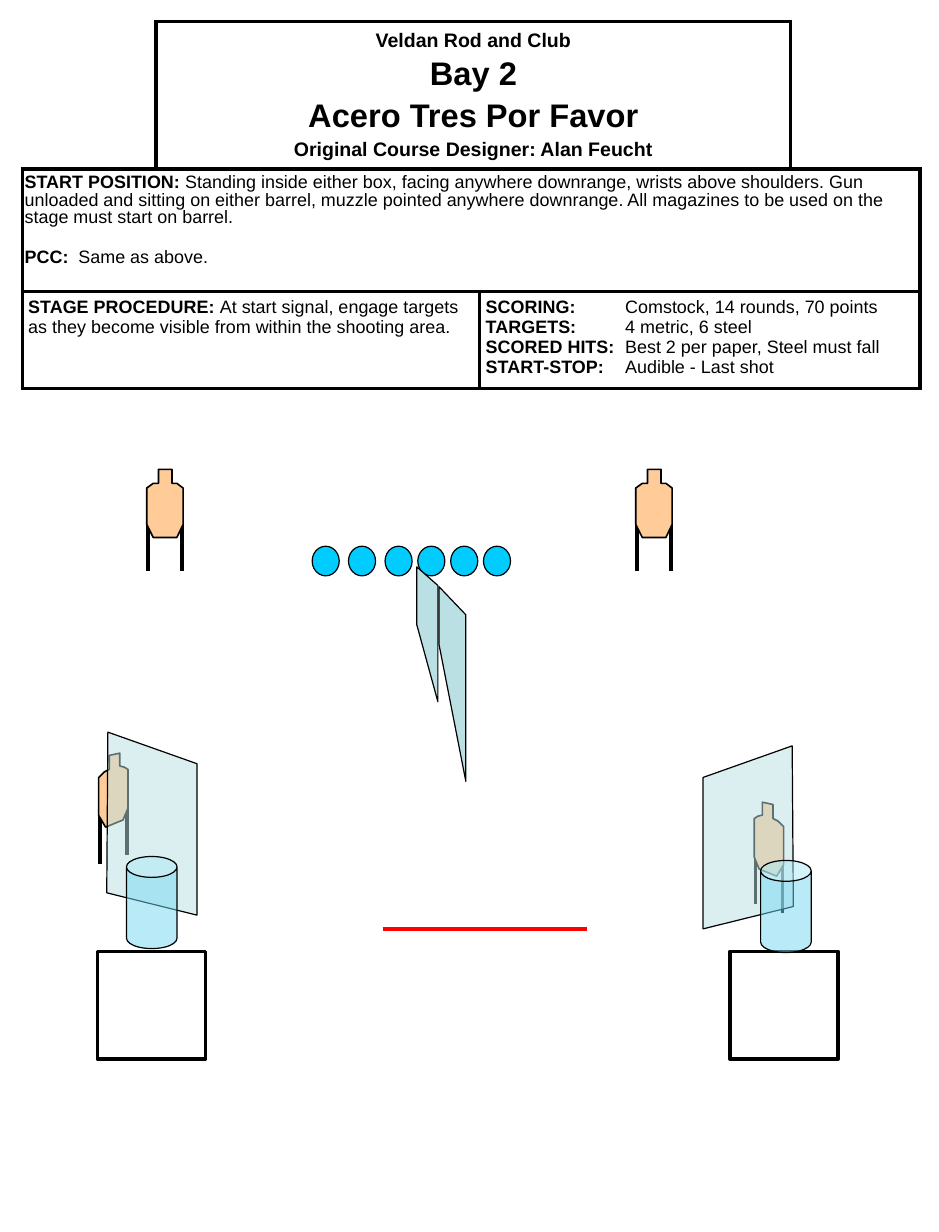
from lxml.etree import SubElement
from pptx import Presentation
from pptx.dml.color import RGBColor
from pptx.enum.shapes import MSO_CONNECTOR, MSO_SHAPE
from pptx.enum.text import MSO_ANCHOR, PP_ALIGN
from pptx.oxml.ns import qn
from pptx.util import Pt

BLACK = RGBColor(0x00, 0x00, 0x00)
WHITE = RGBColor(0xFF, 0xFF, 0xFF)
RED = RGBColor(0xFF, 0x00, 0x00)
TAN = RGBColor(0xFF, 0xCC, 0x99)
STEEL = RGBColor(0x00, 0xCC, 0xFF)
WALL = RGBColor(0xBB, 0xE0, 0xE3)
BARREL = RGBColor(0x73, 0xD9, 0xF1)

# Content: (text, size, space before) and (bold label, plain text)
TITLE = [("Veldan Rod and Club", 12, 0), ("Bay 2", 20, 3),
         ("Acero Tres Por Favor", 20, 3),
         ("Original Course Designer: Alan Feucht", 12, 3)]
START = [("START POSITION:", " Standing inside either box, facing anywhere downrange, "
          "wrists above shoulders. Gun unloaded and sitting on either barrel, muzzle "
          "pointed anywhere downrange. All magazines to be used on the stage must "
          "start on barrel."),
         ("PCC:", "\tSame as above.")]
PROCEDURE = [("STAGE PROCEDURE: ", "At start signal, engage targets as they become "
              "visible from within the shooting area.")]
SCORING = [("SCORING:", "\tComstock, 14 rounds, 70 points"),
           ("TARGETS:", "\t4 metric, 6 steel"),
           ("SCORED HITS:", "\tBest 2 per paper, Steel must fall"),
           ("START-STOP:", "\tAudible - Last shot")]

# Table grid
TABLE_LEFT, TABLE_TOP = 13.7, 13
COLUMNS = [82, 198.7, 190.8, 79.2]
ROWS = [90.7, 75, 60]

# Outlines relative to their own top left corner; legs are (x, top, bottom)
UPRIGHT = [(7.2, 0), (15.5, 0), (15.5, 8.6), (18.5, 8.6), (22.3, 11.5), (22.3, 33.8),
           (18.5, 41.8), (4, 41.8), (0, 33.8), (0, 11.5), (4, 8.6), (7.2, 8.6)]
UPRIGHT_LEGS = [(0.9, 31, 62.6), (21.6, 31, 62.6)]
ANGLED = [(6.5, 1.4), (13, 0), (13, 7.9), (15.8, 8.6), (18, 10), (18, 33.8),
          (15, 41), (4.3, 45.4), (0, 38.2), (0, 15), (3.6, 11.5), (6.5, 10)]
ANGLED_LEGS = [(0.7, 36.7, 67.7), (17.3, 31.7, 62.6)]
PANEL = [(55.4, 19.4), (0.7, 0), (0, 98.6), (55.4, 112.3)]
NEAR_WALL = [(0, 35.3), (0, 0), (13, 11.5), (13, 82.8)]
FAR_WALL = [(0, 35.3), (0, 0), (16.5, 17.3), (16.5, 119.5)]

# Positions
STEEL_LEFTS = [191.5, 213.8, 236.2, 256.3, 276.5, 296.6]
UPRIGHT_LEFTS = [90, 390]
BOX_LEFTS = [59.8, 447.8]
BARREL_LEFTS = [77.6, 466.6]


def style(s, fill, width, alpha=None):
    s.shadow.inherit = False
    if fill is None:
        s.fill.background()
    else:
        s.fill.solid()
        s.fill.fore_color.rgb = fill
        if alpha:
            clr = s._element.spPr.find(qn("a:solidFill"))[0]
            SubElement(clr, qn("a:alpha"), val=str(alpha * 1000))
    s.line.color.rgb = BLACK
    s.line.width = Pt(width)


def add_line(shapes, x1, y1, x2, y2, color, width):
    c = shapes.add_connector(MSO_CONNECTOR.STRAIGHT, Pt(x1), Pt(y1), Pt(x2), Pt(y2))
    c.line.color.rgb = color
    c.line.width = Pt(width)
    SubElement(c._element.spPr, qn("a:effectLst"))


def add_outline(shapes, points, x, y, fill, width, alpha=None):
    pts = [(Pt(x + px), Pt(y + py)) for px, py in points]
    fb = shapes.build_freeform(*pts[0], scale=1.0)
    fb.add_line_segments(pts[1:], close=True)
    style(fb.convert_to_shape(), fill, width, alpha)


def add_preset(kind, x, y, w, h, fill, width, alpha=None):
    s = shapes.add_shape(kind, Pt(x), Pt(y), Pt(w), Pt(h))
    style(s, fill, width, alpha)
    return s


def mirror(points, width):
    return [(width - x, *rest) for x, *rest in points]


def add_target(outline, legs, x, y):
    group = shapes.add_group_shape().shapes
    for leg, top, bottom in legs:
        add_line(group, x + leg, y + top, x + leg, y + bottom, BLACK, 2.25)
    add_outline(group, outline, x, y, TAN, 1)


def add_run(p, text, size, bold):
    r = p.add_run()
    r.text = text
    r.font.name, r.font.size, r.font.bold = "Arial", Pt(size), bold
    r.font.color.rgb = BLACK


def paragraphs(tf, count):
    return [tf.paragraphs[0]] + [tf.add_paragraph() for _ in range(count - 1)]


def fill_cell(cell, items, tab=None, spacing=None, gap=0):
    for i, (p, (label, text)) in enumerate(zip(paragraphs(cell.text_frame, len(items)), items)):
        if spacing:
            p.line_spacing = spacing
        if i and gap:
            p.space_before = Pt(gap)
        if tab:
            tabs = SubElement(p._p.get_or_add_pPr(), qn("a:tabLst"))
            SubElement(tabs, qn("a:tab"), pos=str(Pt(tab)), algn="l")
        add_run(p, label, 11, True)
        add_run(p, text, 11, False)


def set_borders(cell, sides):
    tcPr = cell._tc.get_or_add_tcPr()
    for side in "LRTB":
        ln = SubElement(tcPr, qn(f"a:ln{side}"), w=str(Pt(2.25)))
        if side in sides:
            SubElement(SubElement(ln, qn("a:solidFill")), qn("a:srgbClr"), val=str(BLACK))
        else:
            SubElement(ln, qn("a:noFill"))


prs = Presentation()
prs.slide_width, prs.slide_height = Pt(576), Pt(756)
shapes = prs.slides.add_slide(prs.slide_layouts[6]).shapes

# Stage description table
table = shapes.add_table(3, 4, Pt(TABLE_LEFT), Pt(TABLE_TOP),
                         Pt(sum(COLUMNS)), Pt(sum(ROWS))).table
table.first_row = table.horz_banding = False
for col, width in zip(table.columns, COLUMNS):
    col.width = Pt(width)
for row, height in zip(table.rows, ROWS):
    row.height = Pt(height)
for r in range(3):
    for c in range(4):
        cell = table.cell(r, c)
        set_borders(cell, {(0, 0): "RB", (0, 3): "LB"}.get((r, c), "LRTB"))
        cell.fill.solid()
        cell.fill.fore_color.rgb = WHITE
        side, edge = (1.4, 2.9) if r == 1 else (3.6, 3.6)
        cell.margin_left = cell.margin_right = Pt(side)
        cell.margin_top = cell.margin_bottom = Pt(edge)
for first, last in [((0, 1), (0, 2)), ((1, 0), (1, 3)), ((2, 0), (2, 1)), ((2, 2), (2, 3))]:
    table.cell(*first).merge(table.cell(*last))

title = table.cell(0, 1)
title.vertical_anchor = MSO_ANCHOR.MIDDLE
for p, (text, size, before) in zip(paragraphs(title.text_frame, len(TITLE)), TITLE):
    p.alignment = PP_ALIGN.CENTER
    if before:
        p.space_before = Pt(before)
    add_run(p, text, size, True)
fill_cell(table.cell(1, 0), START, tab=33, spacing=0.9, gap=13)
fill_cell(table.cell(2, 0), PROCEDURE)
fill_cell(table.cell(2, 2), SCORING, tab=85.5)

# Steel plates, fault line and centre walls
for x in STEEL_LEFTS:
    add_preset(MSO_SHAPE.OVAL, x, 335.2, 16.6, 18.2, STEEL, 0.75)
add_line(shapes, 234.7, 570, 360, 570, RED, 2)
add_outline(shapes, FAR_WALL, 269.3, 360, WALL, 0.75)
add_outline(shapes, NEAR_WALL, 255.6, 347.8, WALL, 0.75)

# Start boxes
for x in BOX_LEFTS:
    add_preset(MSO_SHAPE.RECTANGLE, x, 583.8, 66.2, 66.2, None, 2.25)

# Paper targets and the side panels in front of the angled ones
for x in UPRIGHT_LEFTS:
    add_target(UPRIGHT, UPRIGHT_LEGS, x, 288)
add_target(ANGLED, ANGLED_LEGS, 60.5, 462.2)
add_outline(shapes, PANEL, 65.5, 449.3, WALL, 0.75, 50)
add_target(mirror(ANGLED, 18), mirror(ANGLED_LEGS, 18), 462.7, 492.3)
add_outline(shapes, mirror(PANEL, 55.4), 431.3, 457.7, WALL, 0.75, 50)

# Barrels
for x, y in zip(BARREL_LEFTS, [525.6, 528]):
    s = add_preset(MSO_SHAPE.CAN, x, y, 31, 56.5, BARREL, 0.75, 50)
    s.adjustments[0] = 0.413

prs.save("out.pptx")
